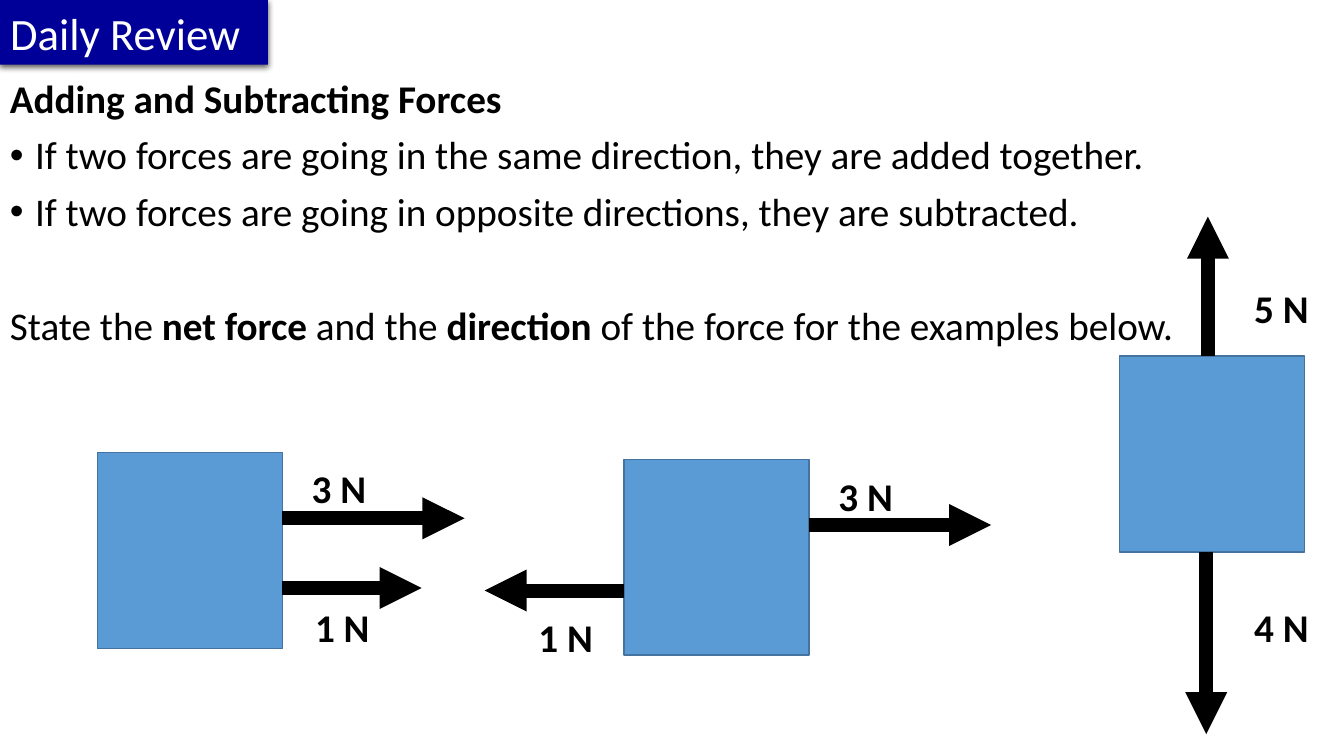
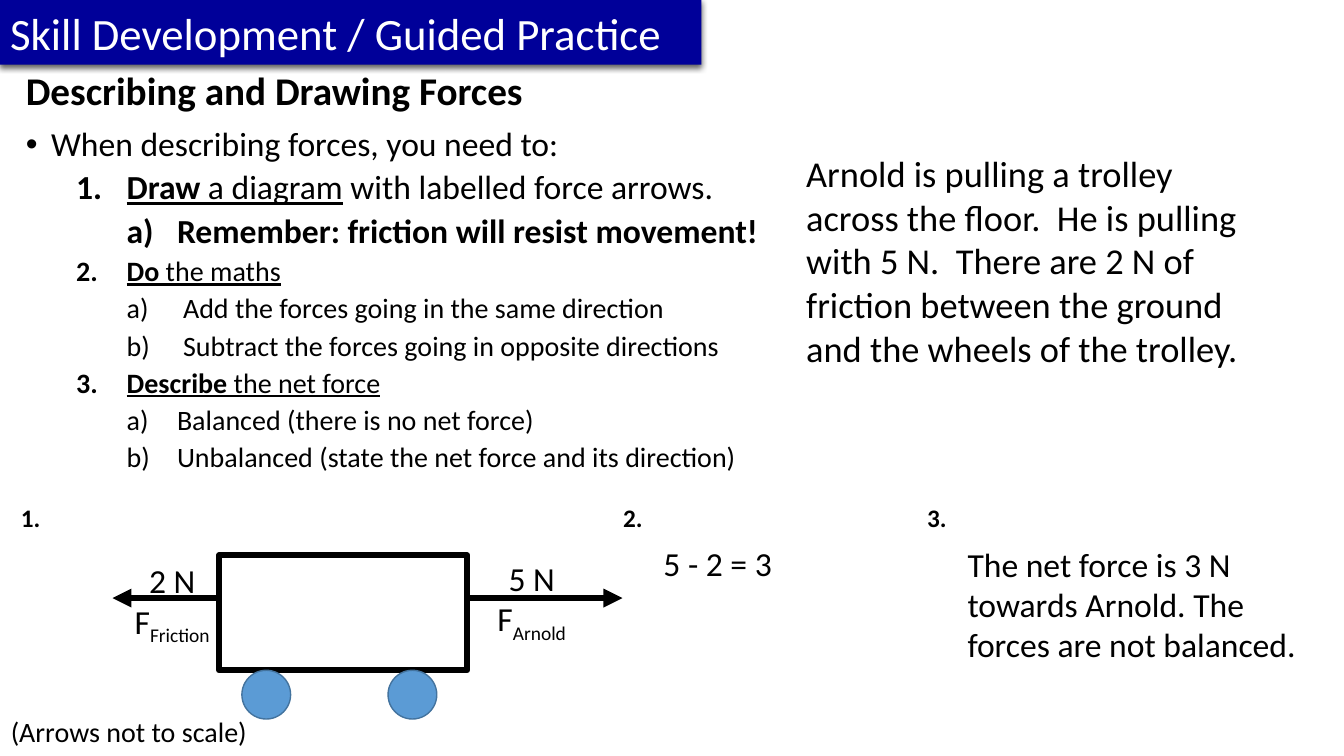
from dataclasses import dataclass

from lxml.etree import SubElement as Sub
from pptx import Presentation
from pptx.dml.color import RGBColor as RGB
from pptx.enum.shapes import MSO_CONNECTOR as LINK, MSO_SHAPE as SHAPE
from pptx.enum.text import MSO_ANCHOR as ANCHOR, MSO_AUTO_SIZE as FIT, PP_ALIGN as ALIGN
from pptx.oxml.ns import qn
from pptx.util import Inches, Pt


@dataclass(frozen=True)
class Theme:
    font: str = "Calibri"
    navy: RGB = RGB(0x00, 0x00, 0x99)
    blue: RGB = RGB(0x5B, 0x9B, 0xD5)
    edge: RGB = RGB(0x43, 0x73, 0x9E)
    black: RGB = RGB(0x00, 0x00, 0x00)
    white: RGB = RGB(0xFF, 0xFF, 0xFF)
    title: int = 32
    head: int = 28
    story: int = 26
    text: int = 24
    small: int = 20
    tag: int = 18


T = Theme()

# Square grid: 160 columns by 90 rows
COLS, ROWS = 160, 90
U = Inches(7.5) / ROWS


def write(slide, area, rows, size, align=ALIGN.LEFT):
    """Add a text box; a row is a list of (text, style), style in b, u, s (subscript)."""
    box = slide.shapes.add_textbox(*(round(n * U) for n in area))
    frame = box.text_frame
    frame.word_wrap = True
    for i, row in enumerate(rows):
        para = frame.paragraphs[0] if i == 0 else frame.add_paragraph()
        para.alignment = align
        for text, style in row:
            run = para.add_run()
            run.text = text
            font = run.font
            font.name, font.size, font.color.rgb = T.font, Pt(size), T.black
            font.bold = "b" in style
            font.underline = "u" in style
            if "s" in style:
                run._r.get_or_add_rPr().set("baseline", "-25000")
    return frame.paragraphs


def arrow(slide, x, y, run, rise, weight):
    """Draw a black arrow from (x, y)."""
    ends = (round(n * U) for n in (x, y, x + run, y + rise))
    link = slide.shapes.add_connector(LINK.STRAIGHT, *ends)
    link.line.width = Pt(weight)
    link.line.color.rgb = T.black
    prop = link._element.spPr
    Sub(prop.find(qn("a:ln")), qn("a:tailEnd"), type="triangle")
    Sub(prop, qn("a:effectLst"))


deck = Presentation()
deck.slide_width, deck.slide_height = round(COLS * U), round(ROWS * U)

# Slides with their title banners
slides = []
for name, width in [("Daily Review", 31.9), ("Skill Development / Guided Practice", 83.5)]:
    slide = deck.slides.add_slide(deck.slide_layouts[5])
    slides.append(slide)
    title = slide.shapes.title
    title.left, title.top = 0, 0
    title.width, title.height = round(width * U), round(7.7 * U)
    prop = title._element.spPr
    Sub(Sub(prop, qn("a:prstGeom"), prst="homePlate"), qn("a:avLst"))
    title.fill.solid()
    title.fill.fore_color.rgb = T.navy
    glow = Sub(Sub(prop, qn("a:effectLst")), qn("a:outerShdw"), blurRad=str(Pt(4.5)),
               dist=str(Pt(1.5)), dir="5400000", algn="t", rotWithShape="0")
    Sub(Sub(glow, qn("a:srgbClr"), val="000000"), qn("a:alpha"), val="63000")
    frame = title.text_frame
    frame.text = name
    frame.auto_size = FIT.NONE
    frame.word_wrap = True
    frame.margin_right = 0
    frame.vertical_anchor = ANCHOR.MIDDLE
    para = frame.paragraphs[0]
    para.alignment = ALIGN.LEFT
    font = para.runs[0].font
    font.name, font.size, font.color.rgb = T.font, Pt(T.title), T.white
review, skill = slides

# Body text: level, bullet, indent, hang (inches), space before, size, runs
DOT, NUM, ABC = "•", "arabicPeriod", "alphaLcParenR"
bodies = [
    (review, (0, 8.9, 144, 78.5), [
        (0, None, 0, 0, 0, T.head, [("Adding and Subtracting Forces", "b")]),
        (0, DOT, 0.25, 0.25, 10, T.head,
         [("If two forces are going in the same direction, they are added together.", "")]),
        (0, DOT, 0.25, 0.25, 10, T.head,
         [("If two forces are going in opposite directions, they are subtracted.", "")]),
        (0, None, 0, 0, 51, T.head,
         [("State the ", ""), ("net force ", "b"), ("and the ", ""), ("direction", "b"),
          (" of the force for the examples below.", "")]),
    ]),
    (skill, (1.9, 7.9, 91, 50.4), [
        (0, None, 0, 0, 0, T.head, [("Describing and Drawing Forces", "b")]),
        (0, DOT, 0.25, 0.25, 10, T.text, [("When describing forces, you need to:", "")]),
        (1, NUM, 1, 0.5, 5, T.text,
         [("Draw", "bu"), (" a diagram", "u"), (" with labelled force arrows.", "")]),
        (2, ABC, 1.5, 0.5, 5, T.text, [("Remember: friction will resist movement!", "b")]),
        (1, NUM, 1, 0.5, 5, T.small, [("Do", "bu"), (" the maths", "u")]),
        (2, ABC, 1.56, 0.56, 5, T.small, [("Add the forces going in the same direction", "")]),
        (2, ABC, 1.56, 0.56, 5, T.small,
         [("Subtract the forces going in opposite directions", "")]),
        (1, NUM, 1, 0.5, 5, T.small, [("Describe", "bu"), (" the net force", "u")]),
        (2, ABC, 1.5, 0.5, 5, T.small, [("Balanced (there is no net force)", "")]),
        (2, ABC, 1.5, 0.5, 5, T.small,
         [("Unbalanced (state the net force and its direction)", "")]),
    ]),
]
for slide, area, rows in bodies:
    paras = write(slide, area, [row[-1] for row in rows], T.text)
    for para, (level, mark, indent, hang, gap, size, _) in zip(paras, rows):
        para.level = level
        para.line_spacing = 0.9
        para.space_before = Pt(gap)
        prop = para._p.get_or_add_pPr()
        prop.set("marL", str(Inches(indent)))
        prop.set("indent", str(-Inches(hang)))
        if mark == DOT:
            Sub(prop, qn("a:buFont"), typeface="Arial")
            Sub(prop, qn("a:buChar"), char=DOT)
        elif mark:
            Sub(prop, qn("a:buAutoNum"), type=mark)
        for run in para.runs:
            run.font.size = Pt(size)

# Blocks, trolley and wheels
WIDE, TALL = 22, 23.3
blocks = [(11.6, 53.9), (74.3, 54.7), (133.3, 42.4)]
CART = (26.1, 66.1, 29.5, 13.7)
forms = [(review, SHAPE.RECTANGLE, (x, y, WIDE, TALL), T.blue, T.edge, 1) for x, y in blocks]
forms.append((skill, SHAPE.RECTANGLE, CART, T.white, T.black, 4.5))
forms += [(skill, SHAPE.OVAL, (x, CART[1] + CART[3], 5.8, 5.8), T.blue, T.edge, 1)
          for x in (28.8, 46.2)]
for slide, kind, area, fill, edge, weight in forms:
    form = slide.shapes.add_shape(kind, *(round(n * U) for n in area))
    form.shadow.inherit = False
    form.fill.solid()
    form.fill.fore_color.rgb = fill
    form.line.color.rgb = edge
    form.line.width = Pt(weight)

# Forces on each block: start, reach and label, measured from the block's corner
LONG, SHORT = 21.7, 16.6
forces = [
    [("3 N", WIDE, 7.8, LONG, 0, 21.6, 0.8), ("1 N", WIDE, 16.1, SHORT, 0, 22, 17.3)],
    [("3 N", WIDE, 7.8, LONG, 0, 21.6, 0.9), ("1 N", 0, 15.6, -SHORT, 0, -14.1, 17.7)],
    [("4 N", 10.3, TALL, 0, LONG, 12.1, 28.8), ("5 N", 10.5, 0, 0, -SHORT, 12.1, -9.2)],
]
for (x, y), group in zip(blocks, forces):
    for name, dx, dy, run, rise, tx, ty in group:
        arrow(review, x + dx, y + dy, run, rise, 10)
        write(review, (x + tx, y + ty, 14.3, 6.9), [[(name, "b")]], T.head, ALIGN.CENTER)

# Forces on the trolley
pulls = [("5 N", "Arnold", CART[0] + CART[2], 18.5, (57.6, 65.8, 11.4, 10.9)),
         ("2 N", "Friction", CART[0], -12.7, (14.2, 66.1, 12.6, 10.9))]
for name, cause, x, run, area in pulls:
    arrow(skill, x, 71.2, run, 0, 4.5)
    write(skill, area, [[(name, "")], [("F", ""), (cause, "s")]], T.text, ALIGN.CENTER)

# Story, step numbers and answers
notes = [
    ((94.8, 17.4, 56.4, 27.5), T.story, "",
     "Arnold is pulling a trolley across the floor.  He is pulling with 5 N.  "
     "There are 2 N of friction between the ground and the wheels of the trolley."),
    ((1.3, 59.2, 6, 4.8), T.tag, "b", "1."),
    ((73, 59.2, 6, 4.8), T.tag, "b", "2."),
    ((109.2, 59.2, 6, 4.8), T.tag, "b", "3."),
    ((77.8, 64.1, 17, 6), T.text, "", "5 - 2 = 3"),
    ((114, 64.1, 46, 15.7), T.text, "",
     "The net force is 3 N towards Arnold. The forces are not balanced."),
    ((0.1, 84.5, 32, 5.3), T.small, "", "(Arrows not to scale)"),
]
for area, size, style, text in notes:
    write(skill, area, [[(text, style)]], size)

deck.save("out.pptx")
